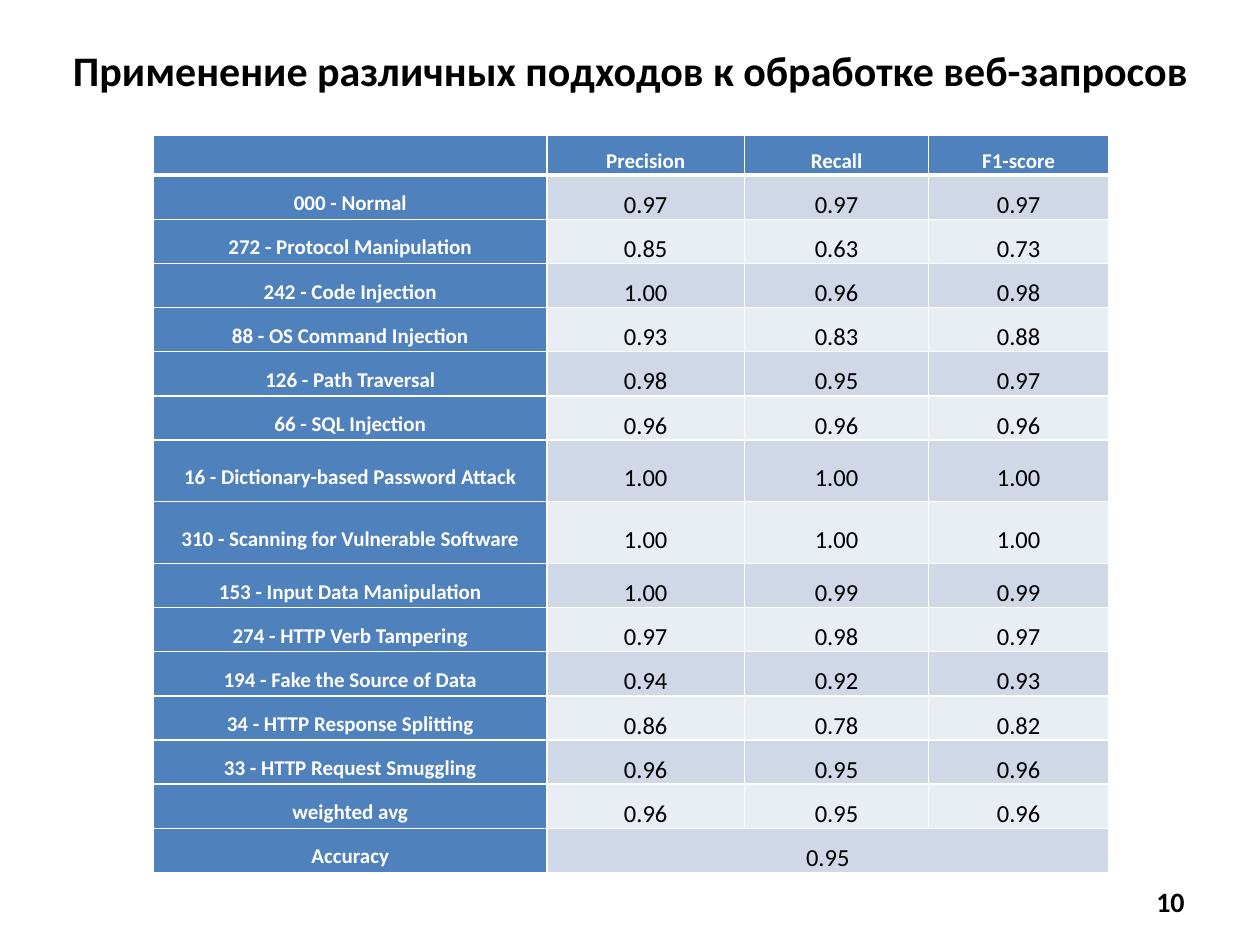
from lxml import etree
from pptx import Presentation
from pptx.dml.color import RGBColor
from pptx.enum import text
from pptx.oxml import ns
from pptx.util import Inches, Pt

HUES = {"head": "4F81BD", "odd": "D0D8E8", "even": "E9EDF4", "ink": "000000", "white": "FFFFFF"}
ROWS = [
    ("", "Precision", "Recall", "F1-score"),
    ("000 - Normal", "0.97", "0.97", "0.97"),
    ("272 - Protocol Manipulation", "0.85", "0.63", "0.73"),
    ("242 - Code Injection", "1.00", "0.96", "0.98"),
    ("88 - OS Command Injection", "0.93", "0.83", "0.88"),
    ("126 - Path Traversal", "0.98", "0.95", "0.97"),
    ("66 - SQL Injection", "0.96", "0.96", "0.96"),
    ("16 - Dictionary-based Password Attack", "1.00", "1.00", "1.00"),
    ("310 - Scanning for Vulnerable Software", "1.00", "1.00", "1.00"),
    ("153 - Input Data Manipulation", "1.00", "0.99", "0.99"),
    ("274 - HTTP Verb Tampering", "0.97", "0.98", "0.97"),
    ("194 - Fake the Source of Data", "0.94", "0.92", "0.93"),
    ("34 - HTTP Response Splitting", "0.86", "0.78", "0.82"),
    ("33 - HTTP Request Smuggling", "0.96", "0.95", "0.96"),
    ("weighted avg", "0.96", "0.95", "0.96"),
    ("Accuracy", "0.95", "", ""),
]
WIDTHS = [3.12, 1.57, 1.46, 1.43]
TALL = (7, 8)


def write(frame, words, size=12, hue="ink", bold=True, align="CENTER", space=None):
    para = frame.paragraphs[0]
    para.alignment = getattr(text.PP_ALIGN, align)
    para.line_spacing = space
    if not words:
        etree.SubElement(para._p, ns.qn("a:endParaRPr"), sz=str(size * 100))
        return
    run = para.add_run()
    run.text = words
    font = run.font
    font.name, font.size, font.bold = "Calibri", Pt(size), bold
    font.color.rgb = RGBColor.from_string(HUES[hue])


def edge(cell, side, width):
    line = etree.SubElement(cell._tc.get_or_add_tcPr(), ns.qn("a:ln" + side), w=str(Pt(width)))
    fill = etree.SubElement(line, ns.qn("a:solidFill"))
    etree.SubElement(fill, ns.qn("a:srgbClr"), val=HUES["white"])


deck = Presentation()
deck.slide_width, deck.slide_height = Inches(10), Inches(7.5)
slide = deck.slides.add_slide(deck.slide_layouts[6])

for words, box, size, align in [
    ("Применение различных подходов к обработке веб-запросов", (0.2, 0.21, 9.61, 0.69), 24, "CENTER"),
    ("10", (7.17, 6.95, 2.33, 0.4), 16, "RIGHT"),
]:
    frame = slide.shapes.add_textbox(*map(Inches, box)).text_frame
    frame.word_wrap = True
    frame.vertical_anchor = text.MSO_ANCHOR.MIDDLE
    write(frame, words, size=size, align=align)

grid = slide.shapes.add_table(
    len(ROWS), len(WIDTHS), Inches(1.22), Inches(1.07), Inches(sum(WIDTHS)), Inches(5.46)
).table
for col, width in zip(grid.columns, WIDTHS):
    col.width = Inches(width)

for r, row in enumerate(ROWS):
    grid.rows[r].height = Inches(0.49 if r in TALL else 0.32)
    for c, words in enumerate(row):
        cell = grid.cell(r, c)
        head = r == 0 or c == 0
        cell.margin_left = cell.margin_right = Inches(0.07)
        cell.margin_top = cell.margin_bottom = 0
        cell.vertical_anchor = text.MSO_ANCHOR.MIDDLE
        for side in "LRTB":
            edge(cell, side, 3 if (r, side) in ((0, "B"), (1, "T")) else 1)
        cell.fill.solid()
        cell.fill.fore_color.rgb = RGBColor.from_string(HUES["head" if head else "odd" if r % 2 else "even"])
        write(cell.text_frame, words, size=12 if head else 14, hue="white" if head else "ink", bold=head, space=1.5)

last = len(ROWS) - 1
grid.cell(last, 1).merge(grid.cell(last, 3))

deck.save("out.pptx")
